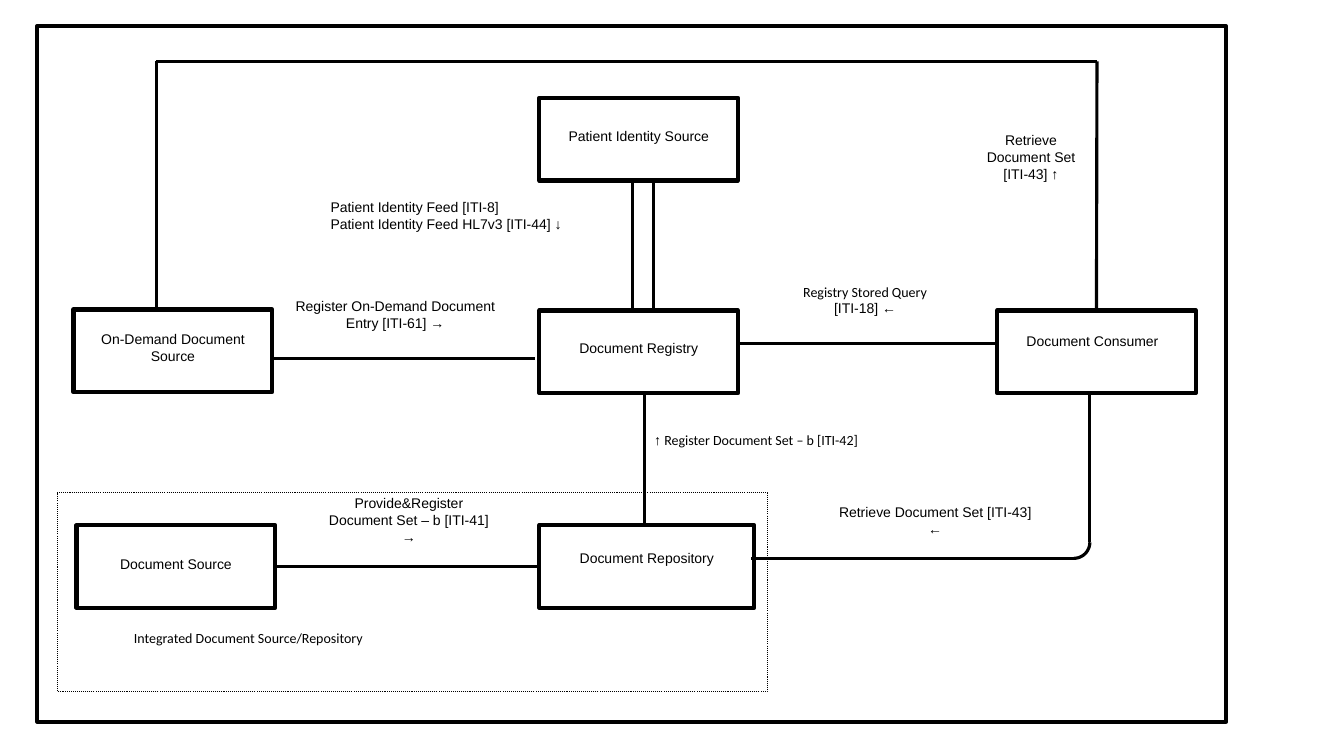
from itertools import cycle, groupby
from math import cos, pi, sin

from lxml import etree
from pptx import Presentation
from pptx import util as u
from pptx.dml.color import RGBColor
from pptx.enum import dml, shapes, text
from pptx.oxml.ns import qn

PX = 9144
HUES = {"ink": "000000", "paper": "FFFFFF"}
MID = text.PP_ALIGN.CENTER
LEFT = text.PP_ALIGN.LEFT


class Board:
    """Hold the style and the current slide, and draw each kind of element."""

    def __init__(self, deck):
        self.slide = deck.slides.add_slide(deck.slide_layouts[6])
        self.items = self.slide.shapes

    def hue(self, name):
        return RGBColor.from_string(HUES[name])

    def pen(self, line, width):
        line.color.rgb = self.hue("ink")
        line.width = u.Pt(width)

    def letter(self, frame, words, fonts, align, top, right=10):
        frame.word_wrap = True
        frame.vertical_anchor = text.MSO_ANCHOR.TOP
        frame.margin_left, frame.margin_right = 10 * PX, right * PX
        frame.margin_top, frame.margin_bottom = top * PX, 5 * PX
        frame.text = words
        for para, font in zip(frame.paragraphs, cycle(fonts)):
            para.alignment = align
            line, para.text = para.text, ""
            for arrow, part in groupby(line, lambda sign: sign in "↑↓"):
                run = para.add_run()
                run.text = "".join(part)
                run.font.name = "Times New Roman" if arrow else font
                run.font.size = u.Pt(10)
                run.font.color.rgb = self.hue("ink")

    def box(self, x, y, w, h, width=3):
        shape = self.items.add_shape(
            shapes.MSO_SHAPE.RECTANGLE, x * PX, y * PX, w * PX, h * PX)
        shape.shadow.inherit = False
        shape.fill.solid()
        shape.fill.fore_color.rgb = self.hue("paper")
        if width:
            self.pen(shape.line, width)
        else:
            shape.line.fill.background()
        return shape

    def actor(self, name, x, y, top, w=197, right=10):
        shape = self.box(x, y, w, 82)
        self.letter(shape.text_frame, name, ["Arial"], MID, top, right)
        return shape

    def label(self, words, x, y, w, h, fonts=("Arial",), align=MID):
        shape = self.items.add_textbox(x * PX, y * PX, w * PX, h * PX)
        self.letter(shape.text_frame, words, fonts, align, 5)

    def link(self, x1, y1, x2, y2, start=None, end=None):
        line = self.items.add_connector(
            shapes.MSO_CONNECTOR.STRAIGHT, x1 * PX, y1 * PX, x2 * PX, y2 * PX)
        self.pen(line.line, 2.25)
        etree.SubElement(line._element.spPr, qn("a:effectLst"))
        if start:
            line.begin_connect(*start)
        if end:
            line.end_connect(*end)

    def bend(self, x, y, radius, steps=12):
        turns = [pi / 2 * (1 - i / steps) for i in range(steps + 1)]
        dots = [(round((x + radius * cos(t)) * PX),
                 round((y + radius * sin(t)) * PX)) for t in turns]
        curve = self.items.build_freeform(*dots[0], scale=1)
        curve.add_line_segments(dots[1:], close=False)
        shape = curve.convert_to_shape()
        shape.shadow.inherit = False
        shape.fill.background()
        self.pen(shape.line, 2.25)


def main():
    deck = Presentation()
    deck.slide_width, deck.slide_height = 1333 * PX, 750 * PX
    board = Board(deck)

    board.box(37, 26, 1179, 690)
    group = board.box(57, 489, 704, 197, 0.75)
    group.line.dash_style = dml.MSO_LINE.ROUND_DOT
    note = board.box(123, 620, 393, 49, 0)
    board.letter(note.text_frame, "Integrated Document Source/Repository",
                 ["Calibri"], LEFT, 5)

    board.actor("Patient Identity Source", 535, 97, 29)
    board.actor("On-Demand Document Source", 73, 307, 21)
    board.actor("Document Registry", 535, 308, 29)
    user = board.actor("Document Consumer", 989, 308, 22, right=18)
    source = board.actor("Document Source", 76, 521, 30)
    store = board.actor("Document Repository", 535, 521, 24, w=213)

    board.link(273, 562, 535, 562, (source, 3), (store, 1))
    board.link(1088, 61, 1088, 308, end=(user, 0))
    for ends in [
        (1088, 61, 155, 61), (155, 61, 155, 307),
        (627, 179, 627, 308), (648, 179, 648, 308),
        (269, 356, 531, 356), (731, 341, 989, 341),
        (639, 390, 639, 521),
        (745, 554, 1066, 554), (1081, 390, 1081, 538),
    ]:
        board.link(*ends)
    board.bend(1065, 538, 16)

    board.label("Provide&Register\nDocument Set – b [ITI-41]\n→",
                279, 486, 253, 60)
    board.label("↑ Register Document Set – b [ITI-42]",
                639, 423, 317, 30, ["Calibri"], LEFT)
    board.label("Retrieve Document Set [ITI-43]\n←", 797, 495, 261, 45)
    board.label("Registry Stored Query\n[ITI-18] ←",
                761, 276, 194, 66, ["Calibri", "Arial"])
    board.label("Patient Identity Feed [ITI-8]\n"
                "Patient Identity Feed HL7v3 [ITI-44] ↓",
                318, 192, 324, 45, align=LEFT)
    board.label("Register On-Demand Document Entry [ITI-61] →",
                269, 290, 246, 66)
    board.label("Retrieve Document Set [ITI-43] ↑", 957, 126, 131, 82)
    deck.save("out.pptx")


if __name__ == "__main__":
    main()
